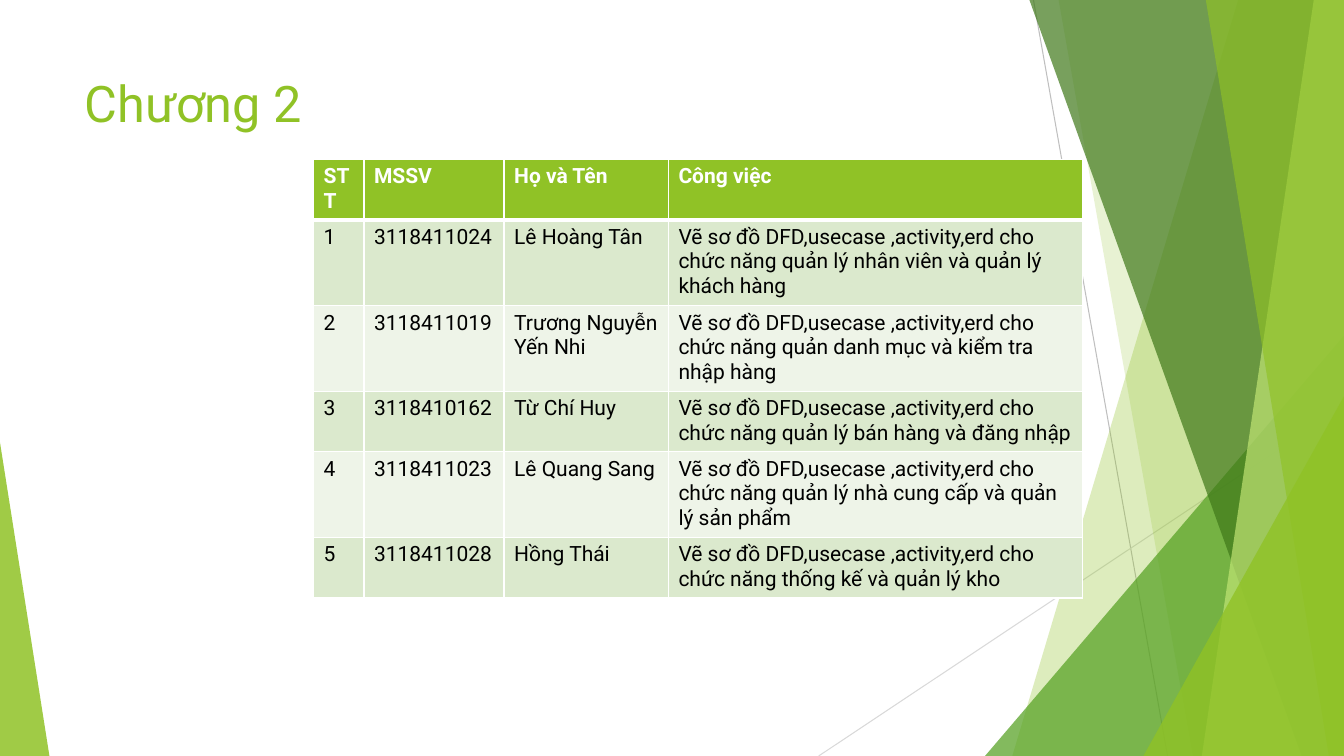
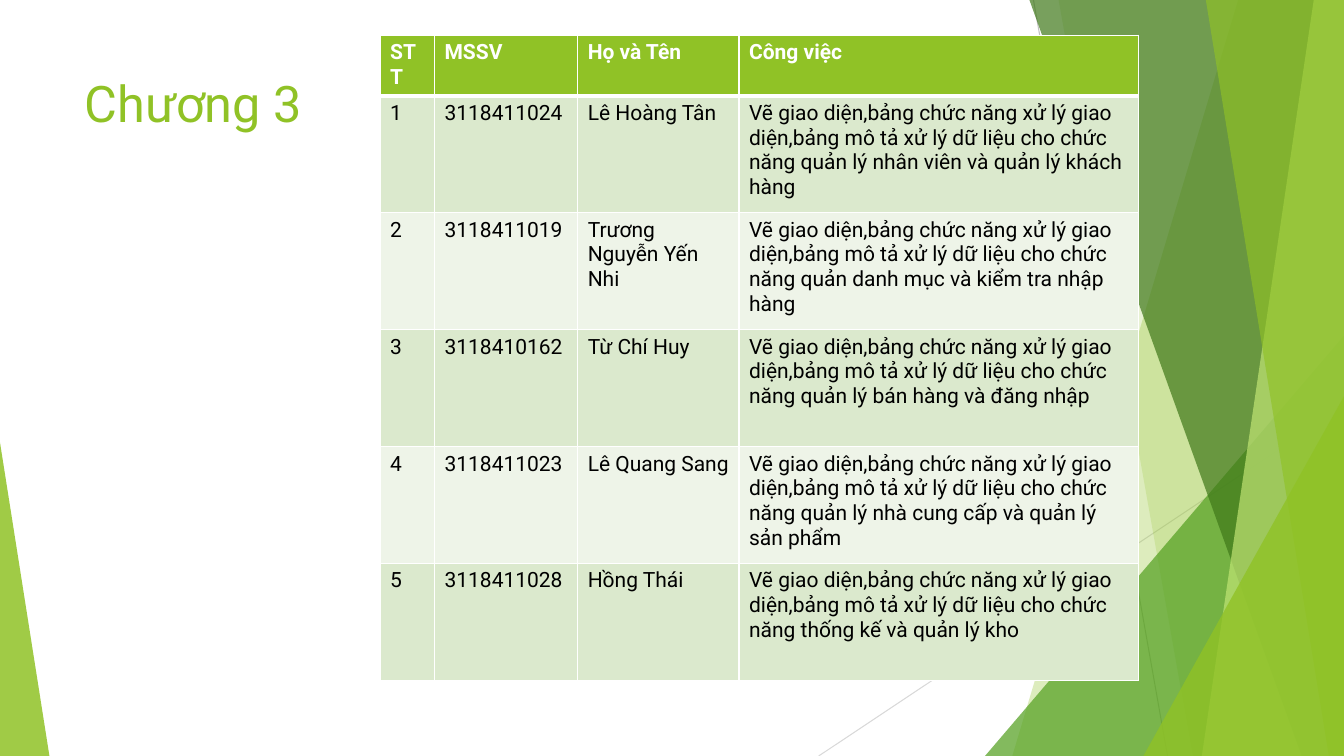
from dataclasses import dataclass

from lxml import etree
from pptx import Presentation
from pptx import util as u
from pptx.dml.color import RGBColor
from pptx.enum import shapes, text
from pptx.oxml import ns

EMU_PER_PX = 9144  # 100 px to the inch
SLIDE_W, SLIDE_H = 1333, 750
FONT = "Roboto"
COLORS = {
    "lime": "90C226",
    "green": "54A021",
    "forest": "3F7819",
    "pale": "C0E474",
    "line_dark": "BFBFBF",
    "line_light": "D9D9D9",
    "row_odd": "DBE9CD",
    "row_even": "EEF4E8",
    "white": "FFFFFF",
    "black": "000000",
}
TITLE_FORMAT = {"name": FONT, "size": u.Pt(36), "bold": False}
HEAD_FORMAT = {"name": FONT, "size": u.Pt(15), "bold": True}
BODY_FORMAT = {**HEAD_FORMAT, "bold": False}


@dataclass(frozen=True)
class Ray:
    start: tuple[int, int]
    end: tuple[int, int]
    color: str


@dataclass(frozen=True)
class Band:
    """Full-height area from a slanted left edge to the right of the slide."""
    top_x: int
    bottom_x: int
    color: str
    alpha: int


@dataclass(frozen=True)
class Wedge:
    """Triangle on the bottom edge; apex is 0 for left, 1 for right."""
    left: int
    top: int
    width: int
    apex: int
    color: str
    alpha: int


@dataclass(frozen=True)
class Member:
    student_id: str
    name: str
    duty: str


@dataclass(frozen=True)
class Chapter:
    title: str
    task: str
    left: int
    top: int
    col_widths: tuple[int, ...]
    head_height: int
    row_height: int


RAYS = [
    Ray((1025, 0), (1158, 750), "line_dark"),
    Ray((1333, 403), (812, 750), "line_light"),
]
FACETS = [
    Band(1228, 1004, "lime", 30),
    Band(1050, 1183, "lime", 20),
    Wedge(977, 333, 356, 1, "green", 72),
    Band(1021, 1291, "forest", 70),
    Band(1303, 1192, "pale", 70),
    Band(1196, 1318, "lime", 65),
    Wedge(1134, 393, 199, 1, "lime", 80),
    Wedge(0, 439, 49, 0, "lime", 85),
]
HEADERS = ("STT", "MSSV", "Họ và Tên", "Công việc")
MEMBERS = [
    Member("3118411024", "Lê Hoàng Tân", "quản lý nhân viên và quản lý khách hàng"),
    Member("3118411019", "Trương Nguyễn Yến Nhi", "quản danh mục và kiểm tra nhập hàng"),
    Member("3118410162", "Từ Chí Huy", "quản lý bán hàng và đăng nhập"),
    Member("3118411023", "Lê Quang Sang", "quản lý nhà cung cấp và quản lý sản phẩm"),
    Member("3118411028", "Hồng Thái", "thống kế và quản lý kho"),
]
CHAPTERS = [
    Chapter("Chương 2", "Vẽ sơ đồ DFD,usecase ,activity,erd cho chức năng",
            311, 158, (50, 139, 163, 411), 41, 41),
    Chapter("Chương 3", "Vẽ giao diện,bảng chức năng xử lý giao diện,bảng mô tả "
            "xử lý dữ liệu cho chức năng",
            377, 35, (54, 142, 160, 396), 27, 116),
]


def px(n: int) -> u.Emu:
    return u.Emu(n * EMU_PER_PX)


def rgb(color: str) -> RGBColor:
    return RGBColor.from_string(COLORS[color])


def write(tf, content: str, fmt: dict, color: str) -> None:
    r = tf.paragraphs[0].add_run()
    r.text = content
    for key, value in fmt.items():
        setattr(r.font, key, value)
    r.font.color.rgb = rgb(color)


def add_ray(slide, ray: Ray) -> None:
    line = slide.shapes.add_connector(
        shapes.MSO_CONNECTOR.STRAIGHT, *map(px, ray.start + ray.end))
    line.line.color.rgb = rgb(ray.color)
    line.line.width = u.Pt(0.75)
    etree.SubElement(line._element.spPr, ns.qn("a:effectLst"))


def add_facet(slide, facet: Band | Wedge) -> None:
    if isinstance(facet, Band):
        outline = slide.shapes.build_freeform(facet.top_x, 0, scale=EMU_PER_PX)
        outline.add_line_segments(
            [(SLIDE_W, 0), (SLIDE_W, SLIDE_H), (facet.bottom_x, SLIDE_H)])
        sp = outline.convert_to_shape()
    else:
        sp = slide.shapes.add_shape(
            shapes.MSO_SHAPE.ISOSCELES_TRIANGLE, px(facet.left), px(facet.top),
            px(facet.width), px(SLIDE_H - facet.top))
        sp.adjustments[0] = facet.apex
    sp.shadow.inherit = False
    sp.line.fill.background()
    sp.fill.solid()
    sp.fill.fore_color.rgb = rgb(facet.color)
    color = sp._element.spPr.find(f"{ns.qn('a:solidFill')}/{ns.qn('a:srgbClr')}")
    etree.SubElement(color, ns.qn("a:alpha"), val=str(facet.alpha * 1000))


def add_title(slide, title: str) -> None:
    tf = slide.shapes.add_textbox(px(74), px(67), px(940), px(144)).text_frame
    tf.word_wrap = True
    tf.vertical_anchor = text.MSO_ANCHOR.TOP
    write(tf, title, TITLE_FORMAT, "lime")


def set_borders(cell, widths: dict[str, int]) -> None:
    """Draw white borders; widths are in points, keyed by side L, R, T, B."""
    tc_pr = cell._tc.get_or_add_tcPr()
    for side, width in widths.items():
        ln = etree.SubElement(tc_pr, ns.qn(f"a:ln{side}"), w=str(u.Pt(width)))
        fill = etree.SubElement(ln, ns.qn("a:solidFill"))
        etree.SubElement(fill, ns.qn("a:srgbClr"), val=COLORS["white"])


def add_task_table(slide, chapter: Chapter) -> None:
    rows = [HEADERS] + [
        (str(i), m.student_id, m.name, f"{chapter.task} {m.duty}")
        for i, m in enumerate(MEMBERS, 1)]
    heights = [chapter.head_height] + [chapter.row_height] * len(MEMBERS)
    table = slide.shapes.add_table(
        len(rows), len(HEADERS), px(chapter.left), px(chapter.top),
        px(sum(chapter.col_widths)), px(sum(heights))).table
    for column, width in zip(table.columns, chapter.col_widths):
        column.width = px(width)
    for i, (values, height) in enumerate(zip(rows, heights)):
        table.rows[i].height = px(height)
        if i == 0:
            fill, fmt, color = "lime", HEAD_FORMAT, "white"
        else:
            fill = "row_odd" if i % 2 else "row_even"
            fmt, color = BODY_FORMAT, "black"
        borders = {"L": 1, "R": 1, "T": 3 if i == 1 else 1, "B": 3 if i == 0 else 1}
        for j, value in enumerate(values):
            cell = table.cell(i, j)
            set_borders(cell, borders)
            cell.fill.solid()
            cell.fill.fore_color.rgb = rgb(fill)
            write(cell.text_frame, value, fmt, color)


def add_chapter_slide(prs, chapter: Chapter) -> None:
    slide = prs.slides.add_slide(prs.slide_layouts[6])
    for ray in RAYS:
        add_ray(slide, ray)
    for facet in FACETS:
        add_facet(slide, facet)
    add_title(slide, chapter.title)
    add_task_table(slide, chapter)


def main() -> None:
    prs = Presentation()
    prs.slide_width, prs.slide_height = px(SLIDE_W), px(SLIDE_H)
    for chapter in CHAPTERS:
        add_chapter_slide(prs, chapter)
    prs.save("out.pptx")


if __name__ == "__main__":
    main()
